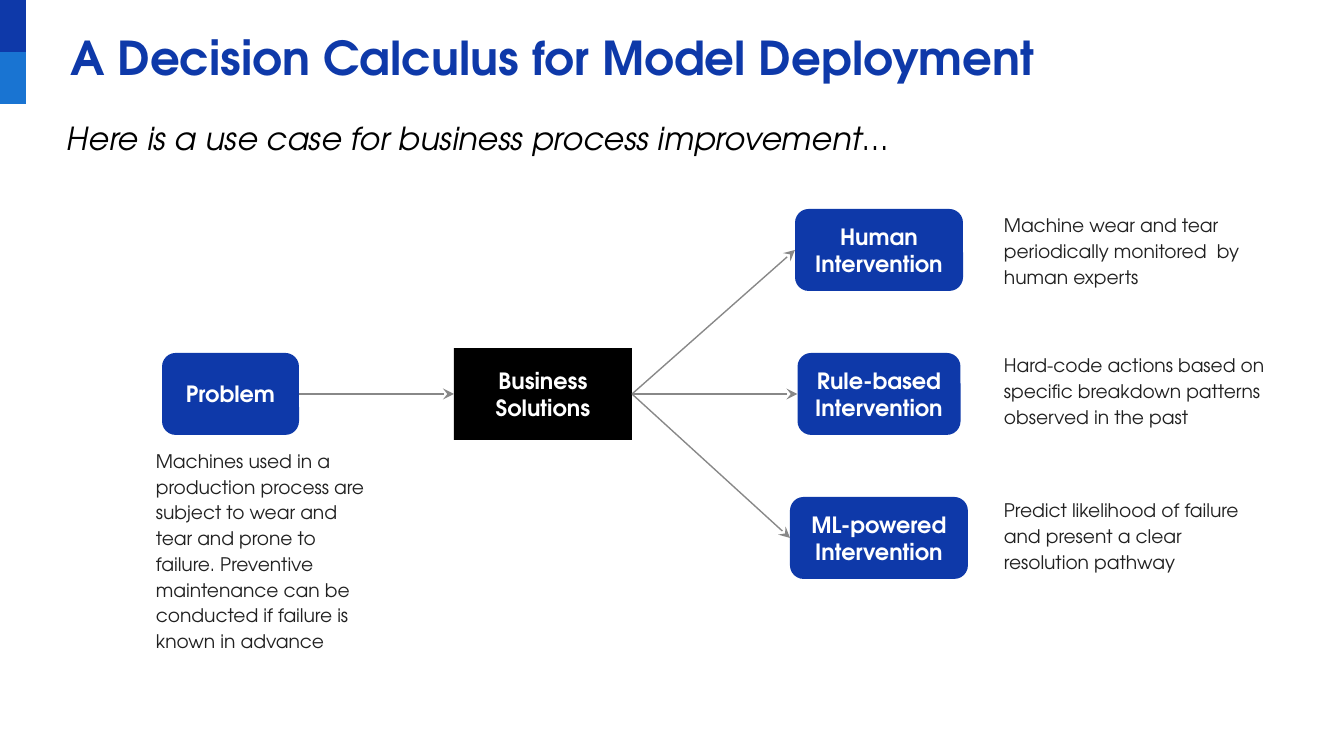
from lxml import etree
from pptx import Presentation
from pptx import util as u
from pptx.dml.color import RGBColor
from pptx.enum import shapes, text
from pptx.oxml.ns import qn

EMU_PER_PX = 914400 / 134.4
FONT = "TeX Gyre Adventor"
NAVY = RGBColor(0x0E, 0x39, 0xA9)
BLUE = RGBColor(0x19, 0x74, 0xD2)
BLACK = RGBColor(0, 0, 0)
WHITE = RGBColor(0xFF, 0xFF, 0xFF)
GRAY = RGBColor(0x88, 0x88, 0x88)
DARK = RGBColor(0x21, 0x21, 0x21)

RECT = shapes.MSO_SHAPE.RECTANGLE
ROUNDED = shapes.MSO_SHAPE.ROUNDED_RECTANGLE
RIGHT, LEFT = 3, 1

MIDDLE_Y = 394
ROW_STEP = 144
BOX_HEIGHT = 82
INTERVENTION_CENTER_X = 879

# label, box width, note top, note height, note
INTERVENTIONS = [
    ("Human Intervention", 168, 204, 91,
     "Machine wear and tear periodically monitored  by human experts"),
    ("Rule-based Intervention", 163, 339, 101,
     "Hard-code actions based on specific breakdown patterns observed in the past"),
    ("ML-powered Intervention", 178, 484, 101,
     "Predict likelihood of failure and present a clear resolution pathway"),
]
PROBLEM_NOTE = ("Machines used in a production process are subject to wear and tear "
                "and prone to failure. Preventive maintenance can be conducted if "
                "failure is known in advance")


def px(value):
    return u.Emu(round(value * EMU_PER_PX))


def write_text(shape, words, size, color, bold=False, italic=False, inset=9,
               align=text.PP_ALIGN.LEFT, anchor=text.MSO_ANCHOR.MIDDLE, spacing=None):
    frame = shape.text_frame
    frame.word_wrap = True
    frame.vertical_anchor = anchor
    frame.margin_left = frame.margin_right = px(inset)
    frame.margin_top = frame.margin_bottom = px(inset)
    paragraph = frame.paragraphs[0]
    paragraph.alignment = align
    if spacing:
        paragraph.line_spacing = spacing
    run = paragraph.add_run()
    run.text = words
    run.font.name = FONT
    run.font.size = u.Pt(size)
    run.font.bold = bold
    run.font.italic = italic
    run.font.color.rgb = color


def add_text(slide, left, top, width, height, words, size, color, **text_format):
    box = slide.shapes.add_textbox(px(left), px(top), px(width), px(height))
    write_text(box, words, size, color, **text_format)


def add_note(slide, left, top, width, height, words):
    add_text(slide, left, top, width, height, words, 10, DARK, spacing=1.15)


def add_block(slide, kind, left, top, width, height, fill):
    shape = slide.shapes.add_shape(kind, px(left), px(top), px(width), px(height))
    shape.shadow.inherit = False
    shape.fill.solid()
    shape.fill.fore_color.rgb = fill
    shape.line.fill.background()
    return shape


def add_box(slide, kind, left, center_y, width, height, fill, label, inset):
    shape = add_block(slide, kind, left, center_y - height / 2, width, height, fill)
    write_text(shape, label, 12, WHITE, bold=True, inset=inset,
               align=text.PP_ALIGN.CENTER)
    return shape


def add_arrow(slide, source, target):
    arrow = slide.shapes.add_connector(shapes.MSO_CONNECTOR.STRAIGHT, 0, 0, 0, 0)
    arrow.begin_connect(source, RIGHT)
    arrow.end_connect(target, LEFT)
    arrow.line.color.rgb = GRAY
    arrow.line.width = u.Pt(0.75)
    etree.SubElement(arrow.line._get_or_add_ln(), qn("a:tailEnd"), type="stealth")
    etree.SubElement(arrow._element.spPr, qn("a:effectLst"))


def main():
    presentation = Presentation()
    presentation.slide_width = px(1344)
    presentation.slide_height = px(756)
    slide = presentation.slides.add_slide(presentation.slide_layouts[6])

    # Corner bars
    for index, color in enumerate((NAVY, BLUE)):
        add_block(slide, RECT, 0, index * 52, 26, 52, color)

    # Title and subtitle
    add_text(slide, 69, 28, 1207, 55, "A Decision Calculus for Model Deployment",
             25, NAVY, bold=True, inset=1, anchor=text.MSO_ANCHOR.TOP)
    add_text(slide, 58, 110, 1167, 59,
             "Here is a use case for business process improvement…",
             17, BLACK, italic=True, anchor=text.MSO_ANCHOR.TOP)

    # Problem leading to business solutions
    solutions = add_box(slide, RECT, 454, MIDDLE_Y, 178, 92, BLACK,
                        "Business Solutions", 9)
    problem = add_box(slide, ROUNDED, 162, MIDDLE_Y, 137, BOX_HEIGHT, NAVY,
                      "Problem", 13)
    add_arrow(slide, problem, solutions)
    add_note(slide, 147, 446, 231, 207, PROBLEM_NOTE)

    # Interventions with their notes
    for row, (label, width, note_top, note_height, note) in enumerate(INTERVENTIONS):
        box = add_box(slide, ROUNDED, INTERVENTION_CENTER_X - width / 2,
                      MIDDLE_Y + (row - 1) * ROW_STEP, width, BOX_HEIGHT, NAVY,
                      label, 13)
        add_arrow(slide, solutions, box)
        add_note(slide, 995, note_top, 281, note_height, note)

    presentation.save("out.pptx")


if __name__ == "__main__":
    main()
